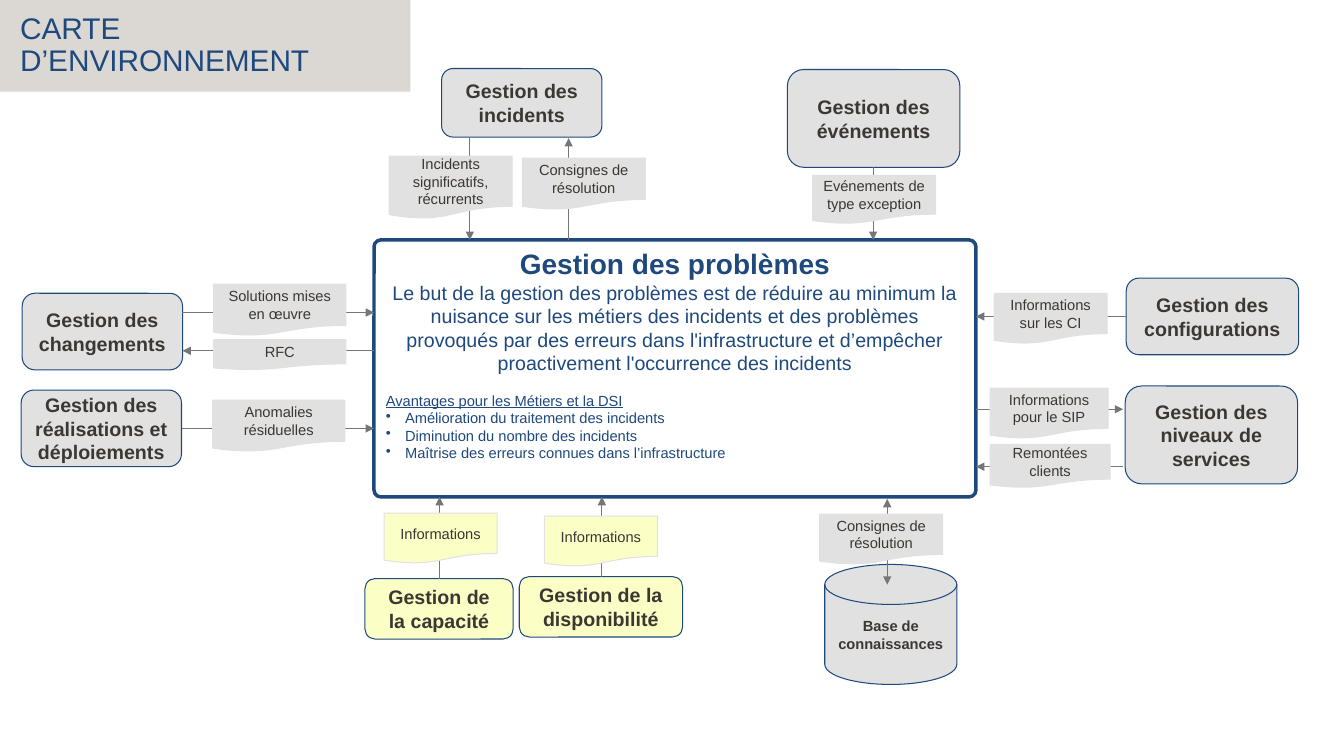
import dataclasses

import lxml.etree
import pptx
import pptx.dml.color
import pptx.enum.shapes
import pptx.enum.text
import pptx.oxml.ns
import pptx.util

RGBColor = pptx.dml.color.RGBColor
NAVY = RGBColor(0x1F, 0x49, 0x7D)
BROWN = RGBColor(0x3C, 0x37, 0x32)
GREY = RGBColor(0xE1, 0xE1, 0xE1)
YELLOW = RGBColor(0xFB, 0xFF, 0xC6)
SAND = RGBColor(0xDB, 0xD7, 0xD3)
ARROW_GREY = RGBColor(0x74, 0x76, 0x78)

SLIDE_WIDTH = pptx.util.Inches(13.33)
SLIDE_HEIGHT = pptx.util.Inches(7.5)
COLUMN = SLIDE_WIDTH / 133.3
ROW = SLIDE_HEIGHT / 75

PRESETS = pptx.enum.shapes.MSO_SHAPE
ALIGN = pptx.enum.text.PP_ALIGN
ANCHOR = pptx.enum.text.MSO_ANCHOR


@dataclasses.dataclass
class Box:
    left: float
    top: float
    width: float
    height: float

    def inner(self, left, top, width, height):
        return Box(self.left + left, self.top + top, width, height)

    def lengths(self):
        return (round(self.left * COLUMN), round(self.top * ROW),
                round(self.width * COLUMN), round(self.height * ROW))


def add_xml(parent, tag, **attributes):
    return lxml.etree.SubElement(parent, pptx.oxml.ns.qn(tag), **attributes)


def set_frame(frame, anchor, horizontal, vertical):
    frame.word_wrap = True
    frame.auto_size = pptx.enum.text.MSO_AUTO_SIZE.NONE
    frame.vertical_anchor = anchor
    frame.margin_left = frame.margin_right = pptx.util.Inches(horizontal)
    frame.margin_top = frame.margin_bottom = pptx.util.Inches(vertical)


def write(paragraph, text, size, color, bold=False, underline=False,
          align=ALIGN.CENTER, before=0, spacing=1.0, bullet=False):
    paragraph.alignment = align
    paragraph.space_before = pptx.util.Pt(before)
    paragraph.line_spacing = spacing
    if bullet:
        properties = paragraph._p.get_or_add_pPr()
        indent = pptx.util.Inches(0.19)
        properties.set("marL", str(indent))
        properties.set("indent", str(-indent))
        add_xml(properties, "a:buChar", char="•")
    run = paragraph.add_run()
    run.text = text
    run.font.name = "Arial"
    run.font.size = pptx.util.Pt(size)
    run.font.color.rgb = color
    run.font.bold = bold
    run.font.underline = underline


def add_shape(slide, preset, box, fill, line, line_width=0.75):
    shape = slide.shapes.add_shape(preset, *box.lengths())
    shape.shadow.inherit = False
    if fill is None:
        shape.fill.background()
    else:
        shape.fill.solid()
        shape.fill.fore_color.rgb = fill
    shape.line.color.rgb = line
    shape.line.width = pptx.util.Pt(line_width)
    return shape


def add_process(slide, box, text, fill=GREY, preset=PRESETS.ROUNDED_RECTANGLE, size=14):
    shape = add_shape(slide, preset, box, fill, NAVY)
    set_frame(shape.text_frame, ANCHOR.MIDDLE, 0.1, 0.1)
    write(shape.text_frame.paragraphs[0], text, size, BROWN, bold=True)


def add_label(slide, box, text, fill=GREY):
    shape = add_shape(slide, PRESETS.FLOWCHART_DOCUMENT, box, fill, GREY)
    set_frame(shape.text_frame, ANCHOR.MIDDLE, 0.1, 0.1)
    write(shape.text_frame.paragraphs[0], text, 10.5, BROWN)


def add_arrow(slide, box, start, end, both_ends=False):
    points = []
    for x, y in (start, end):
        points += box.inner(x, y, 0, 0).lengths()[:2]
    connector = slide.shapes.add_connector(pptx.enum.shapes.MSO_CONNECTOR.STRAIGHT, *points)
    connector.line.color.rgb = ARROW_GREY
    connector.line.width = pptx.util.Pt(0.75)
    line = connector._element.spPr.find(pptx.oxml.ns.qn("a:ln"))
    if both_ends:
        add_xml(line, "a:headEnd", type="triangle")
    add_xml(line, "a:tailEnd", type="triangle")
    add_xml(connector._element.spPr, "a:effectLst")


def draw_title(slide, box):
    title = slide.shapes.title
    title.left, title.top, title.width, title.height = box.lengths()
    title.fill.solid()
    title.fill.fore_color.rgb = SAND
    set_frame(title.text_frame, ANCHOR.MIDDLE, 0.2, 0.04)
    write(title.text_frame.paragraphs[0], "CARTE D’ENVIRONNEMENT", 21.3, NAVY,
          align=ALIGN.LEFT, spacing=0.9)


def draw_problems(slide, box):
    shape = add_shape(slide, PRESETS.ROUNDED_RECTANGLE, box, None, NAVY, 2.5)
    shape.adjustments[0] = 0.027
    frame = shape.text_frame
    set_frame(frame, ANCHOR.TOP, 0.1, 0.05)
    write(frame.paragraphs[0], "Gestion des problèmes", 20, NAVY, bold=True)
    write(frame.add_paragraph(),
          "Le but de la gestion des problèmes est de réduire au minimum la nuisance "
          "sur les métiers des incidents et des problèmes provoqués par des erreurs "
          "dans l'infrastructure et d’empêcher proactivement l'occurrence des incidents",
          14, NAVY)
    write(frame.add_paragraph(), "Avantages pour les Métiers et la DSI", 10.5, NAVY,
          underline=True, align=ALIGN.LEFT, before=12)
    for benefit in ("Amélioration du traitement des incidents",
                    "Diminution du nombre des incidents",
                    "Maîtrise des erreurs connues dans l’infrastructure"):
        write(frame.add_paragraph(), benefit, 10.5, NAVY, align=ALIGN.LEFT, bullet=True)


def draw_top(slide, box):
    add_process(slide, box.inner(6.7, 0, 15.9, 6.8), "Gestion des incidents")
    add_process(slide, box.inner(41, 0.1, 17.1, 9.7), "Gestion des événements")
    add_arrow(slide, box, (9.5, 6.9), (9.5, box.height))
    add_arrow(slide, box, (19.3, box.height), (19.3, 6.9))
    add_arrow(slide, box, (49.5, 9.8), (49.5, box.height))
    add_label(slide, box.inner(1.5, 8.7, 12.2, 6.2), "Incidents significatifs, récurrents")
    add_label(slide, box.inner(14.7, 8.9, 12.2, 5.1), "Consignes de résolution")
    add_label(slide, box.inner(43.5, 10.6, 12.2, 4.8), "Evénements de type exception")


def draw_left(slide, box):
    add_process(slide, box.inner(0.1, 0.9, 15.9, 7.6), "Gestion des changements")
    add_process(slide, box.inner(0, 10.5, 15.9, 7.6), "Gestion des réalisations et déploiements")
    add_arrow(slide, box, (16, 2.8), (box.width, 2.8))
    add_arrow(slide, box, (box.width, 6.6), (16, 6.6))
    add_arrow(slide, box, (16, 14.3), (box.width, 14.3))
    add_label(slide, box.inner(19.1, 0, 13.1, 5.1), "Solutions mises en œuvre")
    add_label(slide, box.inner(19.1, 5.5, 13.1, 3), "RFC")
    add_label(slide, box.inner(19, 11.5, 13.1, 5.1), "Anomalies résiduelles")


def draw_right(slide, box):
    add_process(slide, box.inner(14.9, 0, 17.1, 7.6), "Gestion des configurations")
    add_process(slide, box.inner(14.8, 10.7, 17.1, 9.7), "Gestion des niveaux de services")
    add_arrow(slide, box, (14.9, 3.8), (0, 3.8))
    add_arrow(slide, box, (0, 13), (14.6, 13))
    add_arrow(slide, box, (14.6, 18.7), (0, 18.7))
    add_label(slide, box.inner(1.8, 1.5, 11.2, 5), "Informations sur les CI")
    add_label(slide, box.inner(1.4, 10.9, 11.7, 5), "Informations pour le SIP")
    add_label(slide, box.inner(1.4, 16.5, 11.9, 4.3), "Remontées clients")


def draw_bottom(slide, box):
    add_process(slide, box.inner(0, 8.1, 14.7, 6), "Gestion de la capacité", YELLOW)
    add_process(slide, box.inner(15.3, 7.9, 16.2, 6), "Gestion de la disponibilité", YELLOW)
    add_process(slide, box.inner(45.6, 6.7, 13.1, 11.9), "Base de connaissances",
                preset=PRESETS.FLOWCHART_MAGNETIC_DISK, size=10.5)
    add_arrow(slide, box, (7.4, 8.1), (7.4, 0))
    add_arrow(slide, box, (23.5, 7.9), (23.5, 0))
    add_arrow(slide, box, (51.8, 8.7), (51.8, 0.2), both_ends=True)
    add_label(slide, box.inner(1.9, 1.6, 11.2, 5), "Informations", YELLOW)
    add_label(slide, box.inner(17.8, 1.9, 11.2, 5), "Informations", YELLOW)
    add_label(slide, box.inner(45.1, 1.7, 12.2, 5), "Consignes de résolution")


def main():
    presentation = pptx.Presentation()
    presentation.slide_width = SLIDE_WIDTH
    presentation.slide_height = SLIDE_HEIGHT
    slide = presentation.slides.add_slide(presentation.slide_layouts.get_by_name("Title Only"))
    draw_title(slide, Box(0, 0, 40.7, 9.1))
    draw_problems(slide, Box(37.1, 23.8, 59.7, 25.5))
    draw_top(slide, Box(37.1, 6.8, 59.7, 17))
    draw_left(slide, Box(2.1, 28.2, 35, 18.1))
    draw_right(slide, Box(96.8, 27.6, 32, 20.8))
    draw_bottom(slide, Box(36.2, 49.3, 58.7, 18.6))
    presentation.save("out.pptx")


if __name__ == "__main__":
    main()
